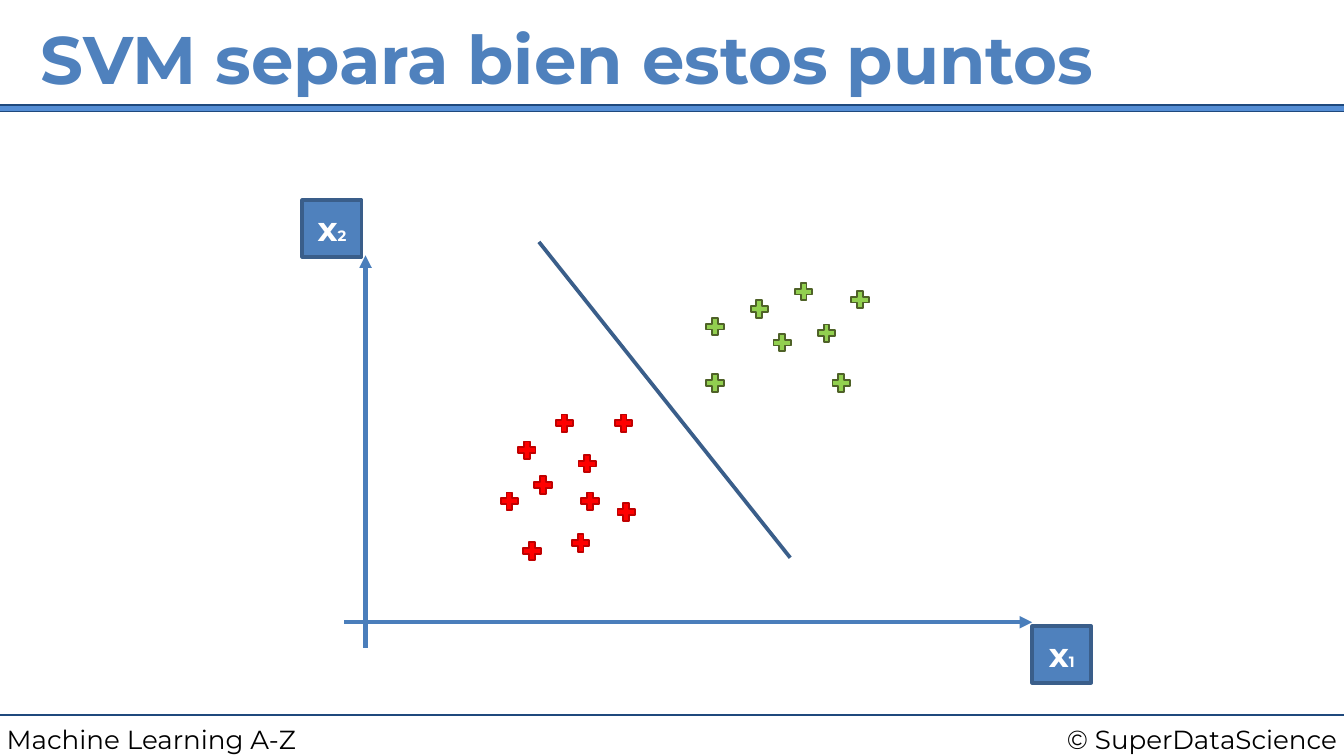
from pptx import Presentation
from pptx.dml.color import RGBColor
from pptx.enum.shapes import MSO_CONNECTOR, MSO_SHAPE
from pptx.enum.text import MSO_ANCHOR, PP_ALIGN
from pptx.oxml.ns import qn
from pptx.util import Inches, Pt
from lxml.etree import SubElement

BLUE = RGBColor(0x4F, 0x81, 0xBD)
BAR_BLUE = RGBColor(0x55, 0x8E, 0xD5)
NAVY = RGBColor(0x1F, 0x49, 0x7D)
AXIS_BLUE = RGBColor(0x4A, 0x7E, 0xBB)
EDGE_BLUE = RGBColor(0x3A, 0x5E, 0x8A)
RED = RGBColor(0xFF, 0x00, 0x00)
DARK_RED = RGBColor(0xC0, 0x00, 0x00)
GREEN = RGBColor(0x92, 0xD0, 0x50)
DARK_GREEN = RGBColor(0x4F, 0x62, 0x28)
WHITE = RGBColor(0xFF, 0xFF, 0xFF)
BLACK = RGBColor(0x00, 0x00, 0x00)
FONT = "Montserrat"

RED_POINTS = [
    (1.54, 2.24), (1.79, 2.12), (2.12, 1.96), (1.67, 1.86), (1.95, 1.66),
    (2.14, 2.24), (2.39, 1.66), (2.07, 2.55), (2.41, 2.32), (1.71, 2.61),
]
GREEN_POINTS = [
    (3.73, 0.68), (3.9, 0.99), (3.57, 1.06), (3.07, 0.94),
    (4.01, 1.36), (3.07, 1.36), (3.4, 0.81), (4.15, 0.74),
]
PLUS_OUTLINE = [
    (1, 0), (2, 0), (2, 1), (3, 1), (3, 2), (2, 2),
    (2, 3), (1, 3), (1, 2), (0, 2), (0, 1), (1, 1),
]
PLUS_SIZE = 0.13


def style_shape(sp, fill, line, width):
    sp.shadow.inherit = False
    sp.fill.solid()
    sp.fill.fore_color.rgb = fill
    sp.line.color.rgb = line
    sp.line.width = Pt(width)


def add_run(p, text, size, color, bold=False):
    r = p.add_run()
    r.text = text
    r.font.name = FONT
    r.font.size = Pt(size)
    r.font.bold = bold
    r.font.color.rgb = color


def set_frame(tf, anchor, align):
    tf.word_wrap = True
    tf.margin_left = tf.margin_right = Inches(0.05)
    tf.margin_top = tf.margin_bottom = Inches(0.05)
    tf.vertical_anchor = anchor
    p = tf.paragraphs[0]
    p.alignment = align
    return p


def add_text(s, box, text, size, color, bold=False, align=PP_ALIGN.LEFT):
    tf = s.shapes.add_textbox(*map(Inches, box)).text_frame
    add_run(set_frame(tf, MSO_ANCHOR.TOP, align), text, size, color, bold)


def add_line(s, start, end, color, width, arrow=False):
    c = s.shapes.add_connector(MSO_CONNECTOR.STRAIGHT, *map(Inches, start + end))
    c.line.color.rgb = color
    c.line.width = Pt(width)
    if arrow:
        SubElement(c._element.spPr.find(qn("a:ln")), qn("a:tailEnd"), type="triangle")
    SubElement(c._element.spPr, qn("a:effectLst"))


def add_axis_label(s, x, y, index):
    sp = s.shapes.add_shape(MSO_SHAPE.RECTANGLE, *map(Inches, (x, y, 0.44, 0.42)))
    style_shape(sp, BLUE, EDGE_BLUE, 2)
    p = set_frame(sp.text_frame, MSO_ANCHOR.MIDDLE, PP_ALIGN.CENTER)
    add_run(p, "x", 18, WHITE, bold=True)
    add_run(p, index, 8, WHITE, bold=True)


def add_plus(s, x, y, fill, line):
    builder = s.shapes.build_freeform(*PLUS_OUTLINE[0], scale=Inches(PLUS_SIZE) / 3)
    builder.add_line_segments(PLUS_OUTLINE[1:], close=True)
    sp = builder.convert_to_shape(Inches(x - PLUS_SIZE / 2), Inches(y - PLUS_SIZE / 2))
    style_shape(sp, fill, line, 1)


def add_header(s, x, y, w):
    bar = s.shapes.add_shape(
        MSO_SHAPE.RECTANGLE, *map(Inches, (x - 0.04, y + 0.78, w + 0.08, 0.05))
    )
    style_shape(bar, BAR_BLUE, NAVY, 0.75)
    add_text(s, (x + 0.25, y + 0.08, w - 0.25, 0.81),
             "SVM separa bien estos puntos", 36, BLUE, bold=True)


def add_footer(s, x, y, w):
    add_line(s, (x, y), (x + w, y), NAVY, 1.5)
    add_text(s, (x + w - 2.92, y + 0.01, 2.92, 0.34),
             "© SuperDataScience", 14, BLACK, align=PP_ALIGN.RIGHT)
    add_text(s, (x, y + 0.01, 3.25, 0.34), "Machine Learning A-Z", 14, BLACK)


def add_scatter(s, x, y, w, h):
    add_line(s, (x + 0.47, y + 3.33), (x + 0.47, y + 0.41), AXIS_BLUE, 2.25, arrow=True)
    add_line(s, (x + 0.31, y + 3.14), (x + w - 0.44, y + 3.14), AXIS_BLUE, 2.25, arrow=True)
    groups = ((RED_POINTS, RED, DARK_RED), (GREEN_POINTS, GREEN, DARK_GREEN))
    for points, fill, line in groups:
        for px, py in points:
            add_plus(s, x + px, y + py, fill, line)
    add_axis_label(s, x + w - 0.44, y + h - 0.42, "1")
    add_axis_label(s, x, y, "2")
    add_line(s, (x + 1.76, y + 0.31), (x + 3.63, y + 2.66), EDGE_BLUE, 2)


def main():
    prs = Presentation()
    prs.slide_width = Inches(10)
    prs.slide_height = Inches(10 * 9 / 16)
    s = prs.slides.add_slide(prs.slide_layouts[6])
    add_footer(s, 0, 5.32, 10)
    add_header(s, 0, 0, 10)
    add_scatter(s, 2.25, 1.49, 5.87, 3.59)
    prs.save("out.pptx")


if __name__ == "__main__":
    main()
